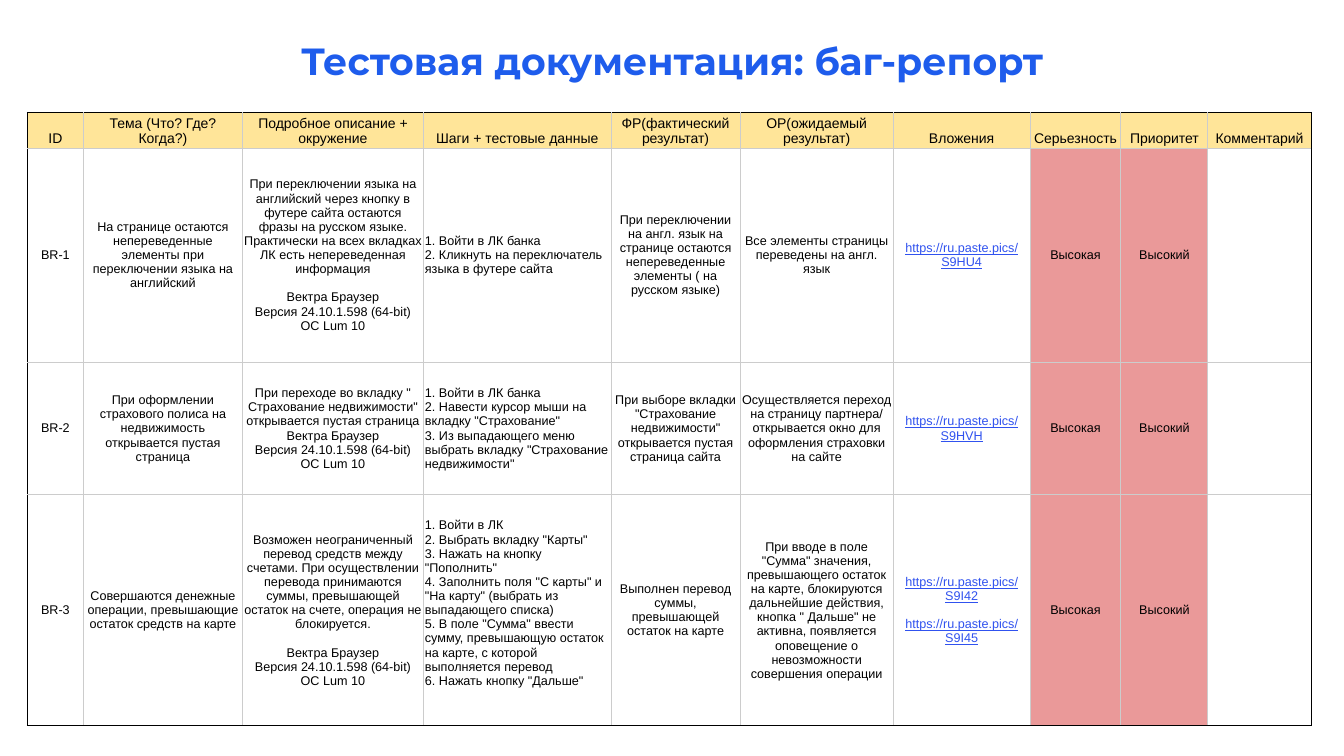
from lxml import etree
from pptx import Presentation
from pptx import util as u
from pptx.dml.color import RGBColor
from pptx.enum import text
from pptx.oxml import ns


def color(value):
    return RGBColor.from_string(value)


def add_borders(cell, sides):
    properties = cell._tc.get_or_add_tcPr()
    for position, (side, value) in enumerate(sides.items()):
        line = etree.Element(ns.qn(f"a:ln{side}"), w=str(u.Pt(0.75)))
        fill = etree.SubElement(line, ns.qn("a:solidFill"))
        etree.SubElement(fill, ns.qn("a:srgbClr"), val=value)
        properties.insert(position, line)


BLACK, GREY, BLUE = "000000", "CCCCCC", "3052EF"
YELLOW, RED = "FFE599", "EA9999"
STEPS, LINKS, SEVERITY, PRIORITY = 3, 6, 7, 8
ENVIRONMENT = "Вектра Браузер\vВерсия 24.10.1.598 (64-bit)\vОС Lum 10"

headings = [
    "ID", "Тема (Что? Где? Когда?)", "Подробное описание + окружение",
    "Шаги + тестовые данные", "ФР(фактический результат)",
    "ОР(ожидаемый результат)", "Вложения", "Серьезность", "Приоритет", "Комментарий",
]
reports = [
    [
        "BR-1",
        "На странице остаются непереведенные элементы при переключении языка на английский",
        "При переключении языка на английский через кнопку в футере сайта остаются фразы "
        "на русском языке. Практически на всех вкладках ЛК есть непереведенная информация"
        "\n" + ENVIRONMENT,
        "1. Войти в ЛК банка\v2. Кликнуть на переключатель языка в футере сайта",
        "При переключении на англ. язык на странице остаются непереведенные элементы "
        "( на русском языке)",
        "Все элементы страницы переведены на англ. язык",
        "https://ru.paste.pics/S9HU4",
    ],
    [
        "BR-2",
        "При оформлении страхового полиса на недвижимость открывается пустая страница",
        'При переходе во вкладку " Страхование недвижимости" открывается пустая страница'
        "\v" + ENVIRONMENT,
        '1. Войти в ЛК банка\v2. Навести курсор мыши на вкладку "Страхование"\v'
        '3. Из выпадающего меню выбрать вкладку "Страхование недвижимости"',
        'При выборе вкладки "Страхование недвижимости" открывается пустая страница сайта',
        "Осуществляется переход на страницу партнера/ открывается окно для оформления "
        "страховки на сайте",
        "https://ru.paste.pics/S9HVH",
    ],
    [
        "BR-3",
        "Совершаются денежные операции, превышающие остаток средств на карте",
        "Возможен неограниченный перевод средств между счетами. При осуществлении перевода "
        "принимаются суммы, превышающей остаток на счете, операция не блокируется."
        "\n" + ENVIRONMENT,
        '1. Войти в ЛК\v2. Выбрать вкладку "Карты"\v3. Нажать на кнопку "Пополнить"\v'
        '4. Заполнить поля "С карты" и "На карту" (выбрать из выпадающего списка)\v'
        '5. В поле "Сумма" ввести сумму, превышающую остаток на карте, с которой '
        'выполняется перевод\v6. Нажать кнопку "Дальше"',
        "Выполнен перевод суммы, превышающей остаток на карте",
        'При вводе в поле "Сумма" значения, превышающего остаток на карте, блокируются '
        'дальнейшие действия, кнопка " Дальше" не активна, появляется оповещение о '
        "невозможности совершения операции",
        "https://ru.paste.pics/S9I42\nhttps://ru.paste.pics/S9I45",
    ],
]
rows = [headings] + [report + ["Высокая", "Высокий", ""] for report in reports]
widths = [1.41, 4.01, 4.56, 4.73, 3.25, 3.86, 3.45, 2.29, 2.19, 2.6]
heights = [0.9, 5.4, 3.34, 5.82]
last_row, last_column = len(rows) - 1, len(headings) - 1

deck = Presentation()
deck.slide_width, deck.slide_height = u.Cm(33.87), u.Cm(19.05)
page = deck.slides.add_slide(deck.slide_layouts[5])

title = page.shapes.title
title.left, title.top, title.width, title.height = u.Cm(2.85), u.Cm(0.53), u.Cm(28.17), u.Cm(1.83)
title.fill.solid()
title.fill.fore_color.rgb = color("FFFFFF")
frame = title.text_frame
frame.text = "Тестовая документация: баг-репорт"
frame.auto_size = text.MSO_AUTO_SIZE.NONE
frame.vertical_anchor = text.MSO_ANCHOR.TOP
frame.margin_left = frame.margin_right = frame.margin_top = frame.margin_bottom = u.Cm(0.25)
paragraph = frame.paragraphs[0]
paragraph.alignment = text.PP_ALIGN.CENTER
paragraph.line_spacing = 1.15
font = paragraph.runs[0].font
font.name, font.size, font.bold = "Montserrat", u.Pt(27), True
font.color.rgb = color("1E5CEC")

table = page.shapes.add_table(
    len(rows), len(headings), u.Cm(0.69), u.Cm(2.83), u.Cm(sum(widths)), u.Cm(sum(heights))
).table
table.first_row = table.horz_banding = False
for column, width in zip(table.columns, widths):
    column.width = u.Cm(width)
for row, height in zip(table.rows, heights):
    row.height = u.Cm(height)

for r, values in enumerate(rows):
    for c, value in enumerate(values):
        cell = table.cell(r, c)
        header = r == 0
        cell.margin_left = cell.margin_right = u.Cm(0.04)
        cell.margin_top = cell.margin_bottom = u.Cm(0.03)
        cell.vertical_anchor = text.MSO_ANCHOR.BOTTOM if header else text.MSO_ANCHOR.MIDDLE
        if header or c in (SEVERITY, PRIORITY):
            cell.fill.solid()
            cell.fill.fore_color.rgb = color(YELLOW if header else RED)
        else:
            cell.fill.background()
        add_borders(cell, {
            "L": BLACK if c == 0 else GREY,
            "R": BLACK if c == last_column else GREY,
            "T": BLACK if header else GREY,
            "B": BLACK if r == last_row else GREY,
        })
        link = c == LINKS and not header
        left = c == STEPS and not header
        cell.text_frame.text = value
        for index, paragraph in enumerate(cell.text_frame.paragraphs):
            paragraph.alignment = text.PP_ALIGN.LEFT if left else text.PP_ALIGN.CENTER
            if index:
                paragraph.space_before = u.Pt(10)
            paragraph.font.size = u.Pt(10 if header else 9)
            for span in paragraph.runs:
                span.font.name = "Arial"
                span.font.size = u.Pt(10 if header else 9)
                span.font.underline = link
                span.font.color.rgb = color(BLUE if link else BLACK)

table.cell(last_row, STEPS).margin_bottom = u.Cm(0.39)

deck.save("out.pptx")
